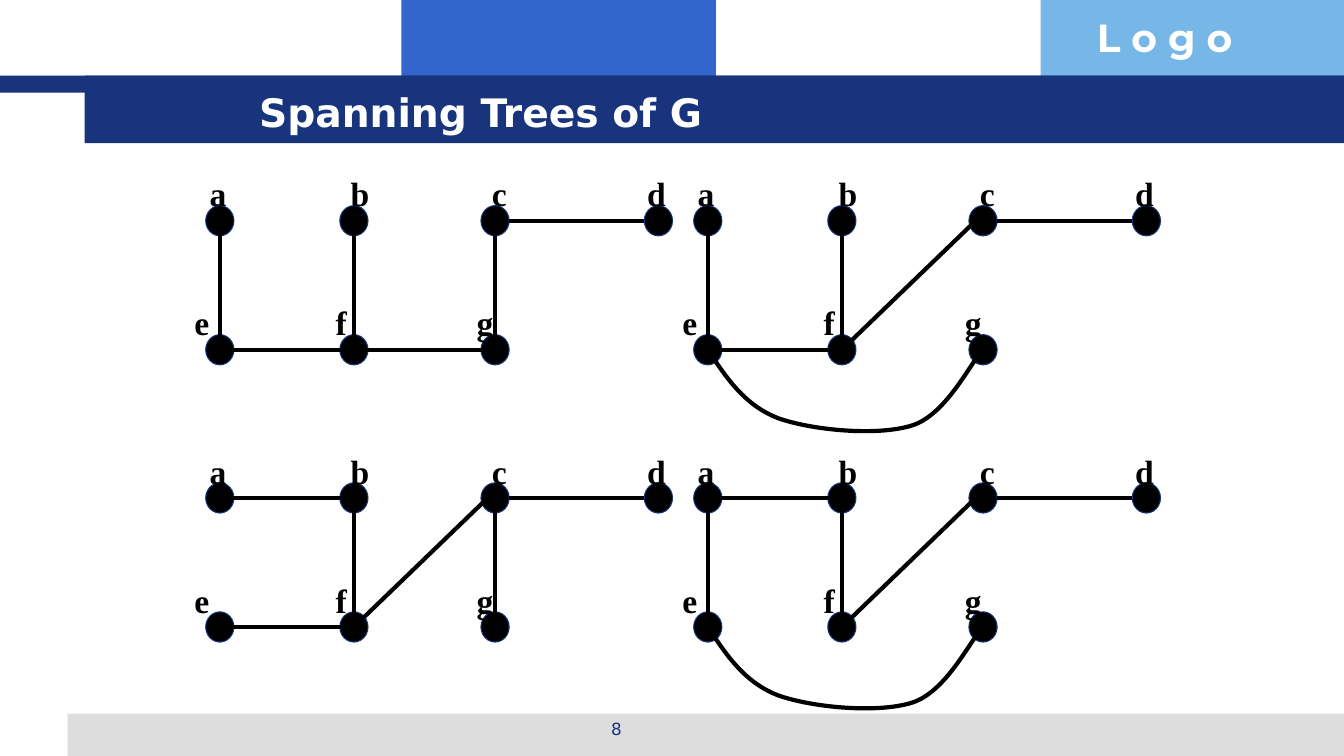
from itertools import product
from lxml.etree import SubElement
from pptx import Presentation
from pptx.dml.color import RGBColor
from pptx.enum.shapes import MSO_CONNECTOR as CONNECTOR, MSO_SHAPE as SHAPE
from pptx.enum.text import MSO_ANCHOR as ANCHOR, PP_ALIGN as ALIGN
from pptx.oxml.ns import qn
from pptx.util import Inches, Pt

COLORS = {"navy": "17347D", "blue": "3366CC", "sky": "77B7E7",
          "gray": "DDDDDD", "white": "FFFFFF", "black": "000000"}

BANDS = [
    (3.98, 0, 3.12, 0.92, "blue"),
    (10.32, 0, 3.01, 0.92, "sky"),
    (0.67, 7.08, 12.67, 0.42, "gray"),
    (0, 0.75, 13.33, 0.17, "navy"),
    (0.84, 0.75, 12.5, 0.67, "navy"),
]

NODES = {"a": (2.18, 2.19), "b": (3.51, 2.19), "c": (4.91, 2.19), "d": (6.53, 2.19),
         "e": (2.18, 3.47), "f": (3.51, 3.47), "g": (4.91, 3.47)}
LABEL_SHIFTS = {"a": -0.2, "b": -0.13, "c": -0.13, "d": -0.21,
                "e": -0.35, "f": -0.28, "g": -0.28}
NODE_WIDTH, NODE_HEIGHT = 0.28, 0.3
EDGE_SHIFTS = {"cd": (0.14, 0, -0.14, 0), "fg": (0.08, 0, 0, 0),
               "bf": (0, -0.07, 0, 0), "cf": (0, -0.07, 0, 0), "ae": (0, 0, 0, 0.08)}
CURVE = [(0, 0), (0.18, 0.27), (0.36, 0.55), (0.7, 0.68), (1.04, 0.8),
         (1.69, 0.86), (2.03, 0.75), (2.37, 0.64), (2.61, 0.12), (2.73, 0)]

TREE_PITCH_X, TREE_PITCH_Y = 4.84, 2.75
TREES = [
    ["cd", "ef", "fg", "bf", "cg", "ae"],
    ["cd", "ef", "bf", "cf", "eg", "ae"],
    ["ab", "cd", "ef", "bf", "cf", "cg"],
    ["ab", "cd", "bf", "cf", "eg", "ae"],
]


def color(name):
    return RGBColor.from_string(COLORS[name])


def write_text(shape, text, size, font, tone, bold=False, align=ALIGN.LEFT,
               anchor=ANCHOR.TOP):
    frame = shape.text_frame
    frame.word_wrap = True
    frame.vertical_anchor = anchor
    paragraph = frame.paragraphs[0]
    paragraph.alignment = align
    run = paragraph.add_run()
    run.text = text
    run.font.size = Pt(size)
    run.font.name = font
    run.font.bold = bold
    run.font.color.rgb = color(tone)


def add_text(slide, left, top, width, height, text, **text_format):
    box = slide.shapes.add_textbox(*map(Inches, (left, top, width, height)))
    write_text(box, text, **text_format)


def add_filled(slide, kind, left, top, width, height, fill, line=None):
    shape = slide.shapes.add_shape(kind, *map(Inches, (left, top, width, height)))
    shape.shadow.inherit = False
    shape.fill.solid()
    shape.fill.fore_color.rgb = color(fill)
    if line:
        shape.line.color.rgb = color(line)
        shape.line.width = Pt(0.75)
    else:
        shape.line.fill.background()


def style_edge(shape):
    shape.line.color.rgb = color("black")
    shape.line.width = Pt(3)


def add_edge(slide, start, end, shifts):
    ends = [Inches(place + shift) for place, shift in zip(start + end, shifts)]
    connector = slide.shapes.add_connector(CONNECTOR.STRAIGHT, *ends)
    style_edge(connector)
    SubElement(connector._element.spPr, qn("a:effectLst"))


def add_curve(slide, start):
    points = [(Inches(start[0] + x), Inches(start[1] + y)) for x, y in CURVE]
    builder = slide.shapes.build_freeform(*points[0])
    builder.add_line_segments(points[1:], close=False)
    shape = builder.convert_to_shape()
    shape.shadow.inherit = False
    shape.fill.background()
    style_edge(shape)
    segments = list(shape._element.iter(qn("a:lnTo")))
    outline = segments[0].getparent()
    for first in range(0, len(segments), 3):
        bezier = SubElement(outline, qn("a:cubicBezTo"))
        for segment in segments[first:first + 3]:
            bezier.append(segment[0])
            outline.remove(segment)


def add_tree(slide, edges, shift_x, shift_y):
    nodes = {name: (x + shift_x, y + shift_y) for name, (x, y) in NODES.items()}
    for x, y in nodes.values():
        add_filled(slide, SHAPE.OVAL, x - NODE_WIDTH / 2, y - NODE_HEIGHT / 2,
                   NODE_WIDTH, NODE_HEIGHT, "black", line="navy")
    for edge in edges:
        start, end = (nodes[name] for name in edge)
        if edge == "eg":
            add_curve(slide, start)
        else:
            add_edge(slide, start, end, EDGE_SHIFTS.get(edge, (0, 0, 0, 0)))
    for name, (x, y) in nodes.items():
        add_text(slide, x + LABEL_SHIFTS[name], y - 0.52, 0.35, 0.5, name,
                 size=24, font="Times New Roman", tone="black", bold=True)


def add_title(slide, text):
    title = slide.shapes.title
    title.left, title.top, title.width, title.height = map(Inches, (2.47, 0.8, 8.53, 0.62))
    write_text(title, text, size=28, font="DejaVu Sans", tone="white", bold=True,
               anchor=ANCHOR.MIDDLE)
    slide.shapes._spTree.append(title._element)


def main():
    presentation = Presentation()
    presentation.slide_width = Inches(13.33)
    presentation.slide_height = Inches(7.5)
    slide = presentation.slides.add_slide(presentation.slide_layouts[5])

    for left, top, width, height, fill in BANDS:
        add_filled(slide, SHAPE.RECTANGLE, left, top, width, height, fill)
    add_text(slide, 10.78, 0.08, 2.57, 0.57, "L o g o",
             size=28, font="Montserrat", tone="white", bold=True)
    add_text(slide, 4.56, 7.08, 3.11, 0.35, "8",
             size=12, font="DejaVu Sans", tone="navy", align=ALIGN.CENTER)
    for (row, column), edges in zip(product(range(2), repeat=2), TREES):
        add_tree(slide, edges, column * TREE_PITCH_X, row * TREE_PITCH_Y)
    add_title(slide, "Spanning Trees of G")

    presentation.save("out.pptx")


main()
